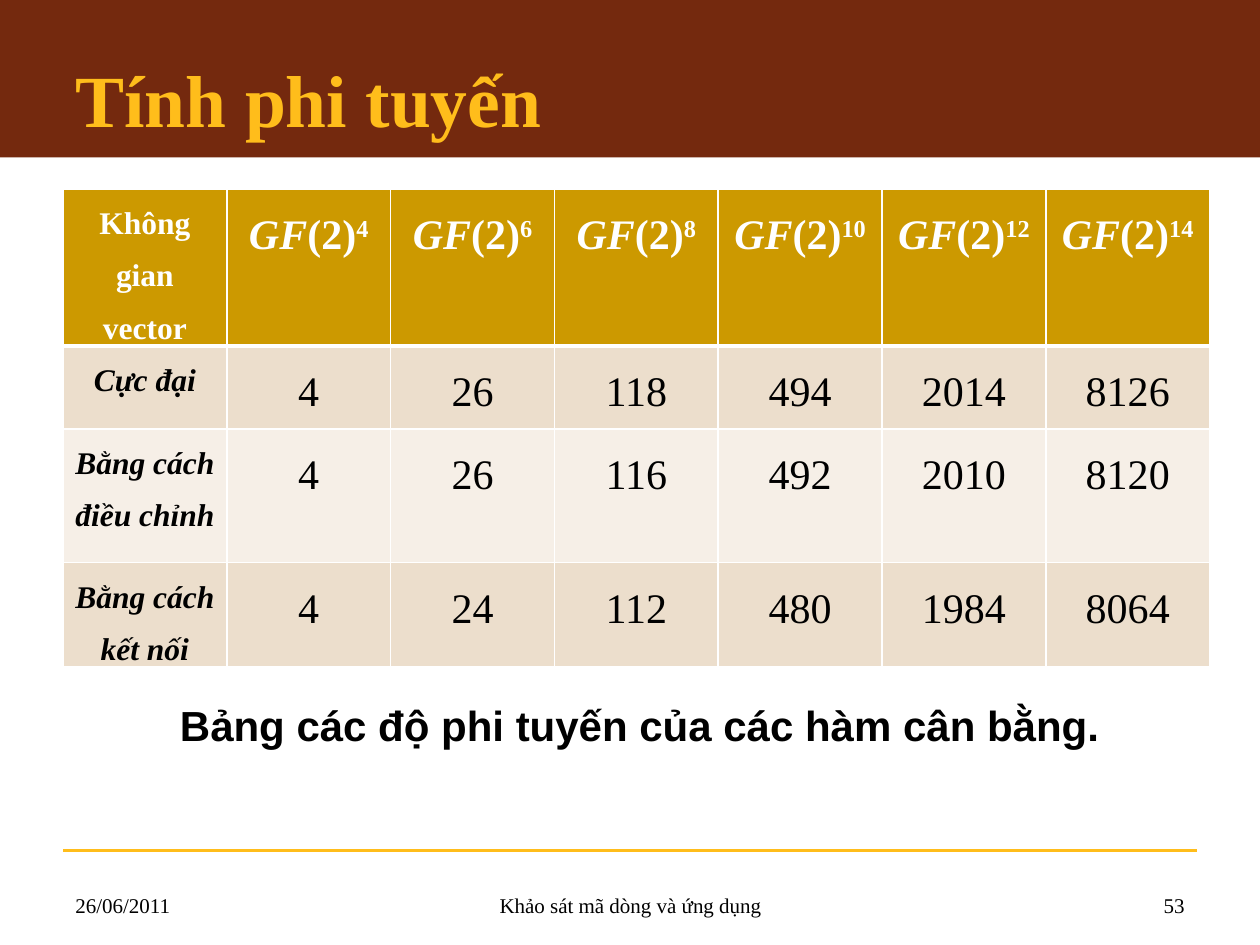
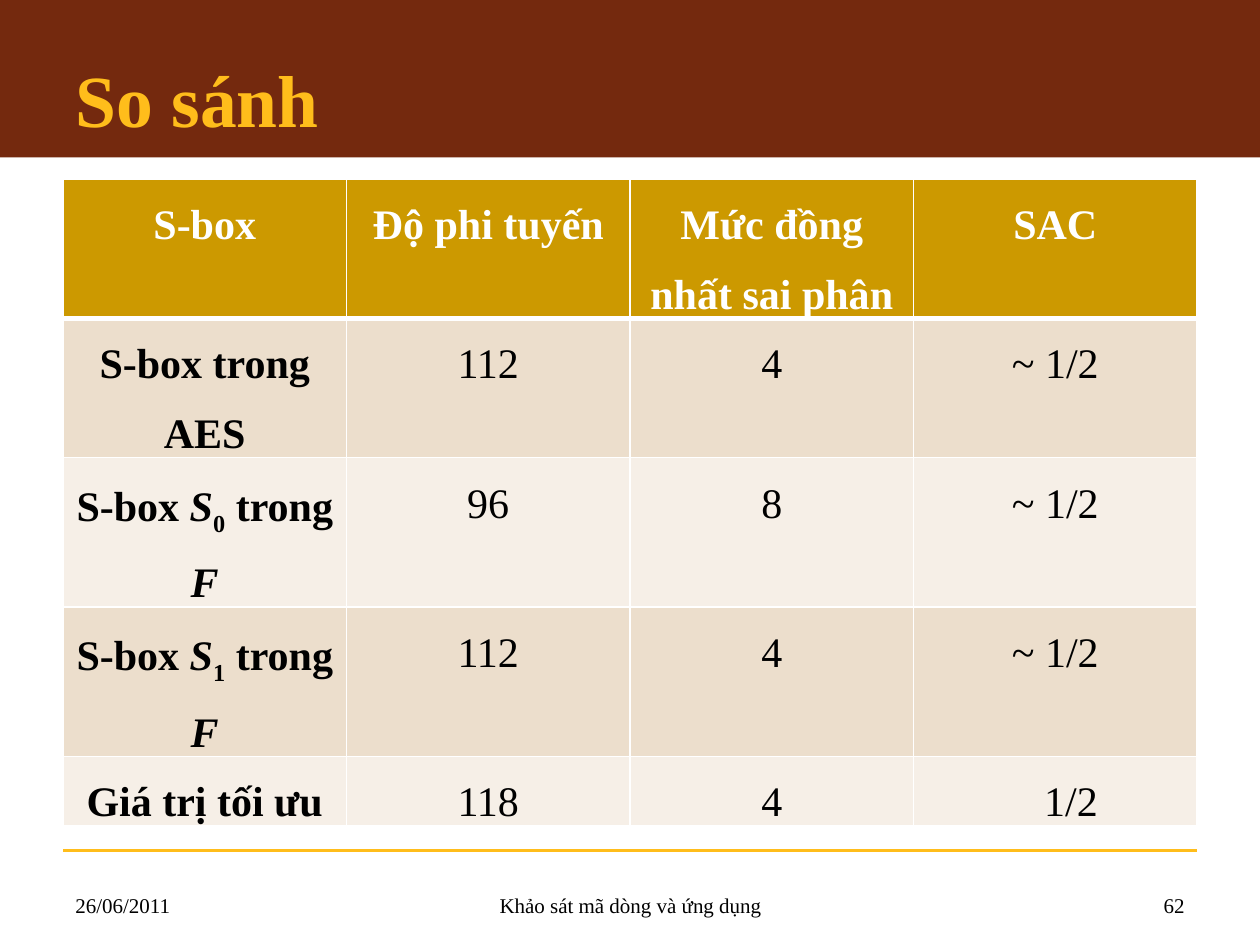
import dataclasses

import pptx
import pptx.dml.color
import pptx.enum.shapes
import pptx.enum.text
import pptx.oxml
import pptx.oxml.ns
import pptx.util

Inches = pptx.util.Inches
Align = pptx.enum.text.PP_ALIGN
Anchor = pptx.enum.text.MSO_ANCHOR


@dataclasses.dataclass(frozen=True)
class Theme:
    serif: str = "Times New Roman"
    sans: str = "Arial"
    band: str = "74290E"
    accent: str = "FFBD1B"
    header: str = "CC9900"
    stripes: tuple[str, str] = ("ECDECC", "F6EFE7")
    white: str = "FFFFFF"
    black: str = "000000"
    title_size: int = 42
    value_size: int = 24
    label_size: int = 18
    footer_size: int = 12


THEME = Theme()


@dataclasses.dataclass(frozen=True)
class Run:
    text: str
    size: int = THEME.value_size
    bold: bool = False
    italic: bool = False
    baseline: int = 0
    color: str = THEME.black
    font: str = THEME.serif


@dataclasses.dataclass(frozen=True)
class Cell:
    runs: tuple[Run, ...]
    indent: float = 0


@dataclasses.dataclass(frozen=True)
class Box:
    left: float
    top: float
    width: float
    height: float

    def lengths(self) -> tuple[pptx.util.Length, ...]:
        return tuple(Inches(value) for value in dataclasses.astuple(self))


@dataclasses.dataclass(frozen=True)
class TableSlide:
    title: str
    number: str
    left: float
    top: float
    column_width: float
    row_heights: tuple[float, ...]
    rows: tuple[tuple[Cell, ...], ...]
    caption: str = ""


def rgb(color: str) -> pptx.dml.color.RGBColor:
    return pptx.dml.color.RGBColor.from_string(color)


def header_run(text: str, **style) -> Run:
    return Run(text, bold=True, color=THEME.white, **style)


def header_cell(text: str, size: int = THEME.value_size) -> Cell:
    return Cell((header_run(text, size=size),))


def field_cell(power: int) -> Cell:
    return Cell((
        header_run("GF", italic=True),
        header_run("(2)"),
        header_run(str(power), baseline=30000),
    ))


def method_row(label: str, *values: int) -> tuple[Cell, ...]:
    name = Run(label, size=THEME.label_size, bold=True, italic=True)
    return (Cell((name,)), *(Cell((Run(str(value)),)) for value in values))


def sbox_row(label: tuple[Run, ...], nonlinearity: int, uniformity: int,
             avalanche: str = "~ 1/2", indent: float = 0) -> tuple[Cell, ...]:
    return (Cell(label), Cell((Run(str(nonlinearity)),)),
            Cell((Run(str(uniformity)),)), Cell((Run(avalanche),), indent))


def component_label(index: int) -> tuple[Run, ...]:
    return (
        Run("S-box ", bold=True),
        Run("S", bold=True, italic=True),
        Run(str(index), bold=True, baseline=-25000),
        Run(" trong ", bold=True),
        Run("F", bold=True, italic=True),
    )


def add_runs(paragraph, runs: tuple[Run, ...]) -> None:
    for item in runs:
        run = paragraph.add_run()
        run.text = item.text
        run.font.name = item.font
        run.font.size = pptx.util.Pt(item.size)
        run.font.bold = item.bold
        run.font.italic = item.italic
        run.font.color.rgb = rgb(item.color)
        if item.baseline:
            run._r.get_or_add_rPr().set("baseline", str(item.baseline))


def add_text(slide, box: Box, run: Run, align=Align.LEFT, anchor=Anchor.TOP) -> None:
    frame = slide.shapes.add_textbox(*box.lengths()).text_frame
    frame.word_wrap = True
    frame.vertical_anchor = anchor
    frame.paragraphs[0].alignment = align
    add_runs(frame.paragraphs[0], (run,))


def set_border(cell, side: str, points: int) -> None:
    cell._tc.get_or_add_tcPr().append(pptx.oxml.parse_xml(
        f'<a:ln{side} {pptx.oxml.ns.nsdecls("a")} w="{pptx.util.Pt(points)}">'
        f'<a:solidFill><a:srgbClr val="{THEME.white}"/></a:solidFill></a:ln{side}>'
    ))


def fill_cell(cell, content: Cell, row: int) -> None:
    for side in "LRTB":
        under_header = (row, side) in ((0, "B"), (1, "T"))
        set_border(cell, side, 3 if under_header else 1)
    cell.fill.solid()
    cell.fill.fore_color.rgb = rgb(THEME.stripes[(row - 1) % 2] if row else THEME.header)
    cell.margin_left = Inches(0.07 + content.indent)
    cell.margin_right = Inches(0.07)
    cell.margin_top = cell.margin_bottom = Inches(0)
    paragraph = cell.text_frame.paragraphs[0]
    paragraph.alignment = Align.CENTER
    paragraph.line_spacing = 1.5
    paragraph.space_after = pptx.util.Pt(10)
    add_runs(paragraph, content.runs)


def add_value_table(slide, content: TableSlide) -> None:
    columns = len(content.rows[0])
    box = Box(content.left, content.top, columns * content.column_width,
              sum(content.row_heights))
    table = slide.shapes.add_table(len(content.rows), columns, *box.lengths()).table
    for column in table.columns:
        column.width = Inches(content.column_width)
    for row, cells in enumerate(content.rows):
        table.rows[row].height = Inches(content.row_heights[row])
        for column, cell in enumerate(cells):
            fill_cell(table.cell(row, column), cell, row)


def decorate_layout(layout, slide) -> None:
    band = slide.shapes.add_shape(pptx.enum.shapes.MSO_SHAPE.RECTANGLE,
                                  *Box(0, 0, 10, 1.25).lengths())
    band.shadow.inherit = False
    band.fill.solid()
    band.fill.fore_color.rgb = rgb(THEME.band)
    band.line.fill.background()
    rule = slide.shapes.add_connector(pptx.enum.shapes.MSO_CONNECTOR.STRAIGHT,
                                      *Box(0.5, 6.75, 9.5, 6.75).lengths())
    rule.line.color.rgb = rgb(THEME.accent)
    rule.line.width = pptx.util.Pt(1.5)
    rule.element.spPr.append(pptx.oxml.parse_xml(
        f'<a:effectLst {pptx.oxml.ns.nsdecls("a")}/>'))
    for shape in (rule, band):
        layout.shapes.element.insert(2, shape.element)


def add_title(slide, text: str) -> None:
    title = slide.shapes.title
    title.left, title.top, title.width, title.height = Box(0.5, 0.3, 9, 0.95).lengths()
    title.text_frame.vertical_anchor = Anchor.MIDDLE
    paragraph = title.text_frame.paragraphs[0]
    paragraph.alignment = Align.LEFT
    add_runs(paragraph, (Run(text, THEME.title_size, bold=True, color=THEME.accent),))


def add_footer(slide, number: str) -> None:
    for text, left, width, align in (
        ("26/06/2011", 0.5, 2.33, Align.LEFT),
        ("Khảo sát mã dòng và ứng dụng", 3.42, 3.17, Align.CENTER),
        (number, 7.17, 2.33, Align.RIGHT),
    ):
        add_text(slide, Box(left, 6.83, width, 0.5), Run(text, THEME.footer_size),
                 align, Anchor.BOTTOM)


SLIDES = (
    TableSlide(
        "Tính phi tuyến", "53", 0.5, 1.5, 1.3, (1.24, 0.66, 1.06, 0.83),
        (
            (header_cell("Không gian vector", THEME.label_size),
             *(field_cell(power) for power in range(4, 15, 2))),
            method_row("Cực đại", 4, 26, 118, 494, 2014, 8126),
            method_row("Bằng cách điều chỉnh", 4, 26, 116, 492, 2010, 8120),
            method_row("Bằng cách kết nối", 4, 24, 112, 480, 1984, 8064),
        ),
        "Bảng các độ phi tuyến của các hàm cân bằng.",
    ),
    TableSlide(
        "So sánh", "62", 0.5, 1.42, 2.25, (1.1, 1.1, 1.18, 1.18, 0.55),
        (
            tuple(header_cell(text) for text in
                  ("S-box", "Độ phi tuyến", "Mức đồng nhất sai phân", "SAC")),
            sbox_row((Run("S-box trong AES", bold=True),), 112, 4),
            sbox_row(component_label(0), 96, 8),
            sbox_row(component_label(1), 112, 4),
            sbox_row((Run("Giá trị tối ưu", bold=True),), 118, 4, "1/2", 0.25),
        ),
    ),
)


def main() -> None:
    presentation = pptx.Presentation()
    presentation.slide_width, presentation.slide_height = Inches(10), Inches(7.5)
    layout = presentation.slide_layouts.get_by_name("Title Only")
    for index, content in enumerate(SLIDES):
        slide = presentation.slides.add_slide(layout)
        if index == 0:
            decorate_layout(layout, slide)
        add_title(slide, content.title)
        add_value_table(slide, content)
        add_footer(slide, content.number)
        if content.caption:
            add_text(slide, Box(1.33, 5.5, 7.67, 0.5),
                     Run(content.caption, bold=True, font=THEME.sans))
    presentation.save("out.pptx")


if __name__ == "__main__":
    main()
